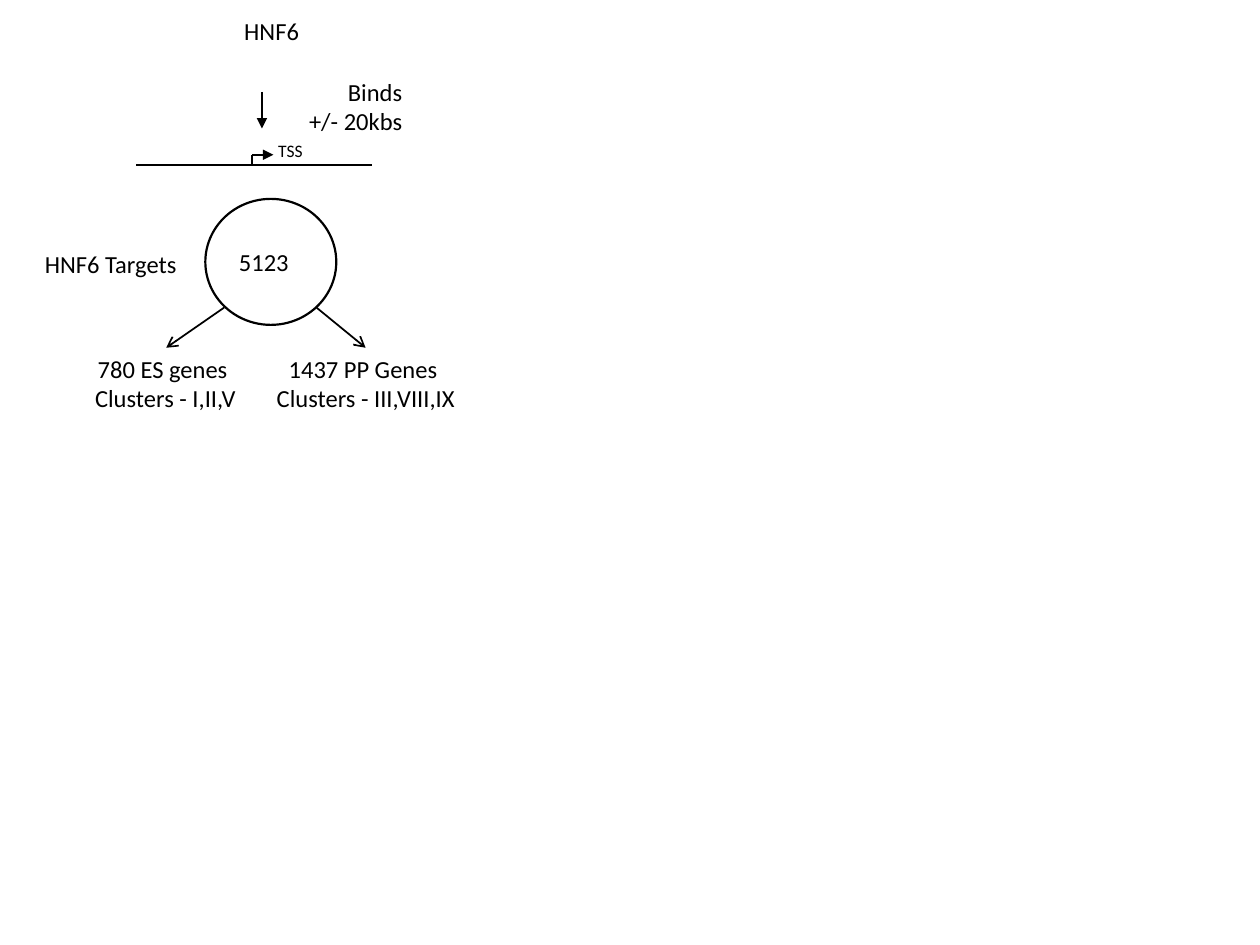
from dataclasses import dataclass

from lxml.etree import SubElement
from pptx import Presentation
from pptx.dml.color import RGBColor
from pptx.enum.shapes import MSO_CONNECTOR, MSO_SHAPE
from pptx.enum.text import MSO_AUTO_SIZE, PP_ALIGN
from pptx.oxml.ns import qn
from pptx.util import Cm, Pt


@dataclass(frozen=True)
class Theme:
    ink: RGBColor = RGBColor(0, 0, 0)
    font: str = "Calibri"
    label: int = 14
    small: int = 10
    thin: float = 1
    outline: float = 1.25


theme = Theme()
RIGHT, CENTER = PP_ALIGN.RIGHT, PP_ALIGN.CENTER

gene_y, promoter_y, promoter_x = 3.33, 3.12, 5.08
branch_top, branch_bottom = 6.2, 7.01
one_line, two_lines = 0.86, 1.45

target_circle = (4.14, 4.01, 2.64, 2.54)

lines = [
    ((7.49, gene_y), (2.74, gene_y), None),
    ((promoter_x, gene_y), (promoter_x, promoter_y), None),
    ((promoter_x, promoter_y), (5.51, promoter_y), "triangle"),
    ((5.28, 1.85), (5.28, 2.59), "triangle"),
    ((4.52, branch_top), (3.35, branch_bottom), "arrow"),
    ((6.38, branch_top), (7.37, branch_bottom), "arrow"),
]

labels = [
    (["HNF6"], (4.45, 0.2, 1.83, one_line), RIGHT, theme.label),
    (["Binds", " +/- 20kbs"], (3.81, 1.42, 4.55, two_lines), RIGHT, theme.label),
    (["TSS"], (1.96, 2.69, 4.39, 0.69), RIGHT, theme.small),
    (["5123"], (4.24, 4.85, 1.83, one_line), RIGHT, theme.label),
    (["HNF6 Targets"], (-1.7, 4.9, 5.51, one_line), RIGHT, theme.label),
    (["780 ES genes ", "Clusters - I,II,V"],
     (1.19, branch_bottom, 4.29, two_lines), CENTER, theme.label),
    (["1437 PP Genes ", "Clusters - III,VIII,IX"],
     (5.23, branch_bottom, 4.29, two_lines), CENTER, theme.label),
]


def lengths(values):
    return [Cm(value) for value in values]


def add_line(page, start, end, head):
    connector = page.shapes.add_connector(
        MSO_CONNECTOR.STRAIGHT, *lengths(start + end))
    connector.line.color.rgb = theme.ink
    connector.line.width = Pt(theme.thin)
    if head:
        SubElement(connector.line._get_or_add_ln(), qn("a:tailEnd"), type=head)
    SubElement(connector._element.spPr, qn("a:effectLst"))


def add_label(page, texts, place, alignment, size):
    box = page.shapes.add_textbox(*lengths(place))
    frame = box.text_frame
    frame.word_wrap = True
    frame.auto_size = MSO_AUTO_SIZE.SHAPE_TO_FIT_TEXT
    for index, text in enumerate(texts):
        para = frame.add_paragraph() if index else frame.paragraphs[0]
        para.alignment = alignment
        span = para.add_run()
        span.text = text
        span.font.name = theme.font
        span.font.size = Pt(size)
        span.font.color.rgb = theme.ink


def add_circle(page, place):
    circle = page.shapes.add_shape(MSO_SHAPE.OVAL, *lengths(place))
    circle.shadow.inherit = False
    circle.fill.background()
    circle.line.color.rgb = theme.ink
    circle.line.width = Pt(theme.outline)


deck = Presentation()
deck.slide_width, deck.slide_height = Cm(25.4), Cm(19.05)
page = deck.slides.add_slide(deck.slide_layouts[6])

add_circle(page, target_circle)
for line in lines:
    add_line(page, *line)
for label in labels:
    add_label(page, *label)

deck.save("out.pptx")
